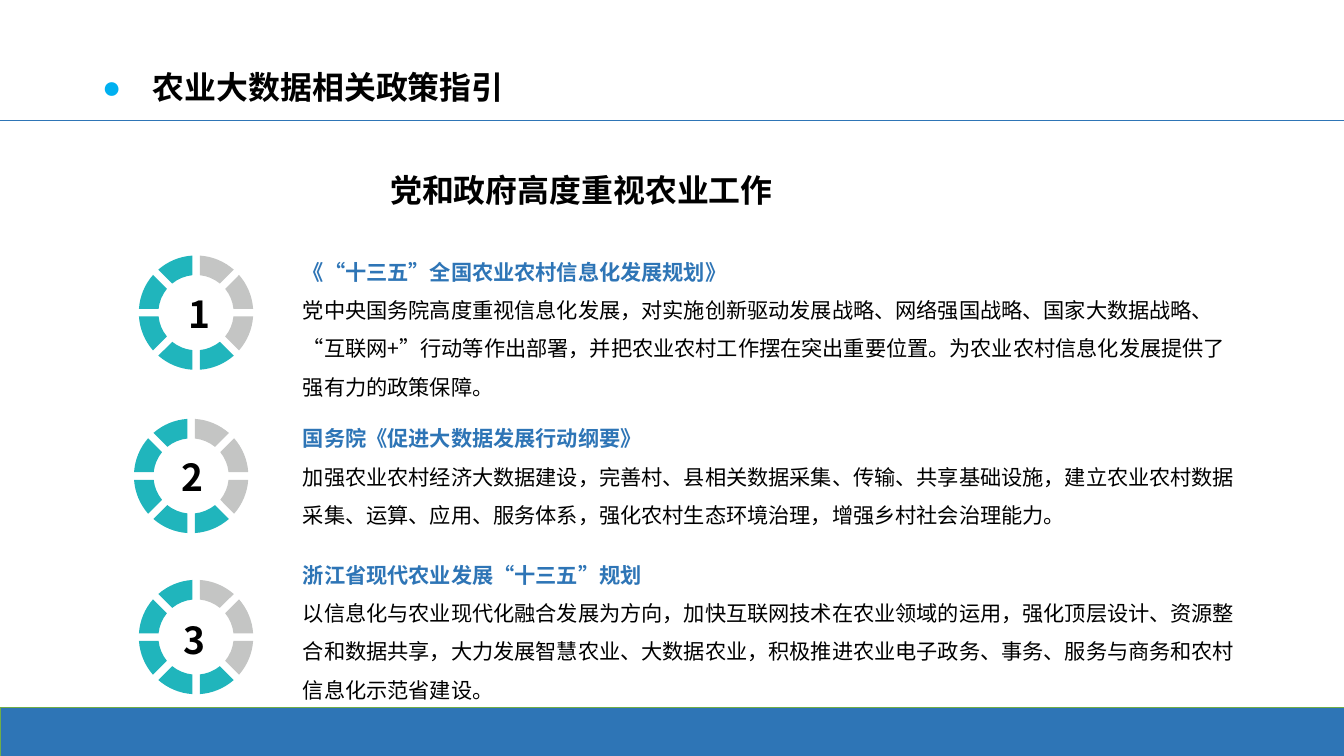
from dataclasses import dataclass
from math import asin, cos, pi, sin, tan

from lxml.etree import SubElement
from pptx import Presentation
from pptx.dml.color import RGBColor
from pptx.enum.shapes import MSO_CONNECTOR, MSO_SHAPE
from pptx.enum.text import MSO_ANCHOR, PP_ALIGN
from pptx.oxml.ns import qn
from pptx.shapes.autoshape import Shape
from pptx.slide import Slide
from pptx.text.text import TextFrame, _Paragraph
from pptx.util import Cm, Pt

FONT = "Noto Sans CJK SC"
BLUE, TEAL, GREY, BLACK = "2E75B6", "20B5BC", "C4C5C4", "000000"
WIDTH, HEIGHT = 35.71, 20.09
BAR_TOP, RULE_Y = 18.8, 3.2
OUTER, INNER, HALF_GAP = 1.52, 1.0, 0.1
SEGMENTS, GREY_SEGMENTS = 8, 3


@dataclass
class Policy:
    """A numbered policy with its ring and its text block, in centimetres."""

    ring: tuple[float, float]
    number: tuple[float, float]
    top: float
    height: float
    heading: str
    body: str


POLICIES = [
    Policy((5.21, 8.31), (4.75, 7.62), 6.43, 4.37,
           "《“十三五”全国农业农村信息化发展规划》",
           "党中央国务院高度重视信息化发展，对实施创新驱动发展战略、网络强国战略、国家大数据战略、"
           "“互联网+”行动等作出部署，并把农业农村工作摆在突出重要位置。"
           "为农业农村信息化发展提供了强有力的政策保障。"),
    Policy((5.08, 12.65), (4.57, 11.96), 10.85, 3.33,
           "国务院《促进大数据发展行动纲要》",
           "加强农业农村经济大数据建设，完善村、县相关数据采集、传输、共享基础设施，"
           "建立农业农村数据采集、运算、应用、服务体系，强化农村生态环境治理，增强乡村社会治理能力。"),
    Policy((5.21, 16.93), (4.62, 16.28), 14.48, 4.37,
           "浙江省现代农业发展“十三五”规划",
           "以信息化与农业现代化融合发展为方向，加快互联网技术在农业领域的运用，"
           "强化顶层设计、资源整合和数据共享，大力发展智慧农业、大数据农业，"
           "积极推进农业电子政务、事务、服务与商务和农村信息化示范省建设。"),
]


def rgb(color: str) -> RGBColor:
    """Turn a hex string into a colour."""
    return RGBColor.from_string(color)


def write(p: _Paragraph, text: str, *, size: float = 24, color: str = BLACK,
          bold: bool = True, spacing: float | None = None) -> None:
    """Write formatted text into a paragraph."""
    p.alignment = PP_ALIGN.LEFT
    p.line_spacing = spacing
    r = p.add_run()
    r.text = text
    r.font.name, r.font.size, r.font.bold = FONT, Pt(size), bold
    r.font.color.rgb = rgb(color)
    SubElement(r.font._element, qn("a:ea"), typeface=FONT)


def add_box(s: Slide, left: float, top: float, width: float, height: float) -> TextFrame:
    """Add a wrapping text box and return its text frame."""
    tf = s.shapes.add_textbox(Cm(left), Cm(top), Cm(width), Cm(height)).text_frame
    tf.word_wrap = True
    return tf


def add_frame(s: Slide) -> None:
    """Draw the bottom bar and the rule under the title."""
    bar = s.shapes.add_shape(MSO_SHAPE.RECTANGLE, 0, Cm(BAR_TOP), Cm(WIDTH), Cm(HEIGHT - BAR_TOP))
    bar.shadow.inherit = False
    bar.fill.solid()
    bar.fill.fore_color.rgb = rgb(BLUE)
    bar.line.color.rgb = rgb("70AD47")
    bar.line.width = Pt(0.5)
    rule = s.shapes.add_connector(MSO_CONNECTOR.STRAIGHT, 0, Cm(RULE_Y), Cm(WIDTH), Cm(RULE_Y))
    rule.line.color.rgb = rgb(BLUE)
    rule.line.width = Pt(1)
    SubElement(rule._element.spPr, qn("a:effectLst"))


def add_title(s: Slide, text: str) -> None:
    """Fill the title placeholder with a bulleted heading."""
    sp = s.shapes.title
    sp.left, sp.top, sp.width, sp.height = Cm(2.46), Cm(1.07), Cm(30.81), Cm(2.59)
    tf = sp.text_frame
    tf.vertical_anchor = MSO_ANCHOR.MIDDLE
    p = tf.paragraphs[0]
    pPr = p._p.get_or_add_pPr()
    pPr.set("marL", str(Cm(1.35)))
    pPr.set("indent", str(-Cm(1.35)))
    SubElement(SubElement(pPr, qn("a:buClr")), qn("a:srgbClr"), val="00B0F0")
    SubElement(pPr, qn("a:buFont"), typeface="Arial")
    SubElement(pPr, qn("a:buChar"), char="●")
    write(p, text, spacing=0.9)


def arc(center: tuple[float, float], radius: float, segment: int) -> list[tuple[int, int]]:
    """Return the four Bézier points of one segment's arc, clockwise from the top."""
    trim = asin(HALF_GAP / radius)
    start, end = (2 * pi * (segment + i) / SEGMENTS for i in (0, 1))
    start, end = start + trim, end - trim
    pull = 4 / 3 * tan((end - start) / 4)
    x, y = center
    return [(Cm(x + radius * (sin(a) + k * cos(a))), Cm(y - radius * (cos(a) - k * sin(a))))
            for a, k in ((start, 0), (start, pull), (end, -pull), (end, 0))]


def curve(sp: Shape, first: int) -> None:
    """Join three line steps of a freeform into one cubic curve."""
    steps = list(sp._element.iter(qn("a:lnTo")))[first:first + 3]
    steps[0].tag = qn("a:cubicBezTo")
    for step in steps[1:]:
        steps[0].append(step[0])
        step.getparent().remove(step)


def add_ring(s: Slide, center: tuple[float, float]) -> None:
    """Draw a ring of separated segments."""
    for segment in range(SEGMENTS):
        points = arc(center, OUTER, segment) + arc(center, INNER, segment)[::-1]
        builder = s.shapes.build_freeform(*points[0])
        builder.add_line_segments(points[1:], close=True)
        sp = builder.convert_to_shape()
        curve(sp, 4)
        curve(sp, 0)
        sp.shadow.inherit = False
        sp.fill.solid()
        sp.fill.fore_color.rgb = rgb(GREY if segment < GREY_SEGMENTS else TEAL)
        sp.line.fill.background()


def add_policy(s: Slide, number: int, policy: Policy) -> None:
    """Draw a policy's ring, number, heading and body."""
    tf = add_box(s, 7.8, policy.top, 25.5, policy.height)
    write(tf.paragraphs[0], policy.heading, size=16, color=BLUE, spacing=1.5)
    write(tf.add_paragraph(), policy.body, size=16, bold=False, spacing=1.5)
    add_ring(s, policy.ring)
    write(add_box(s, *policy.number, 0.94, 1.45).paragraphs[0], str(number), size=28)


def main() -> None:
    """Build and save the slide."""
    prs = Presentation()
    prs.slide_width, prs.slide_height = Cm(WIDTH), Cm(HEIGHT)
    s = prs.slides.add_slide(prs.slide_layouts[5])
    add_frame(s)
    add_title(s, "农业大数据相关政策指引")
    tf = add_box(s, 10.19, 4.43, 19.48, 1.22)
    tf.margin_left = tf.margin_right = Cm(0.18)
    tf.margin_top = tf.margin_bottom = Cm(0.1)
    write(tf.paragraphs[0], "党和政府高度重视农业工作")
    for number, policy in enumerate(POLICIES, 1):
        add_policy(s, number, policy)
    prs.save("out.pptx")


if __name__ == "__main__":
    main()
